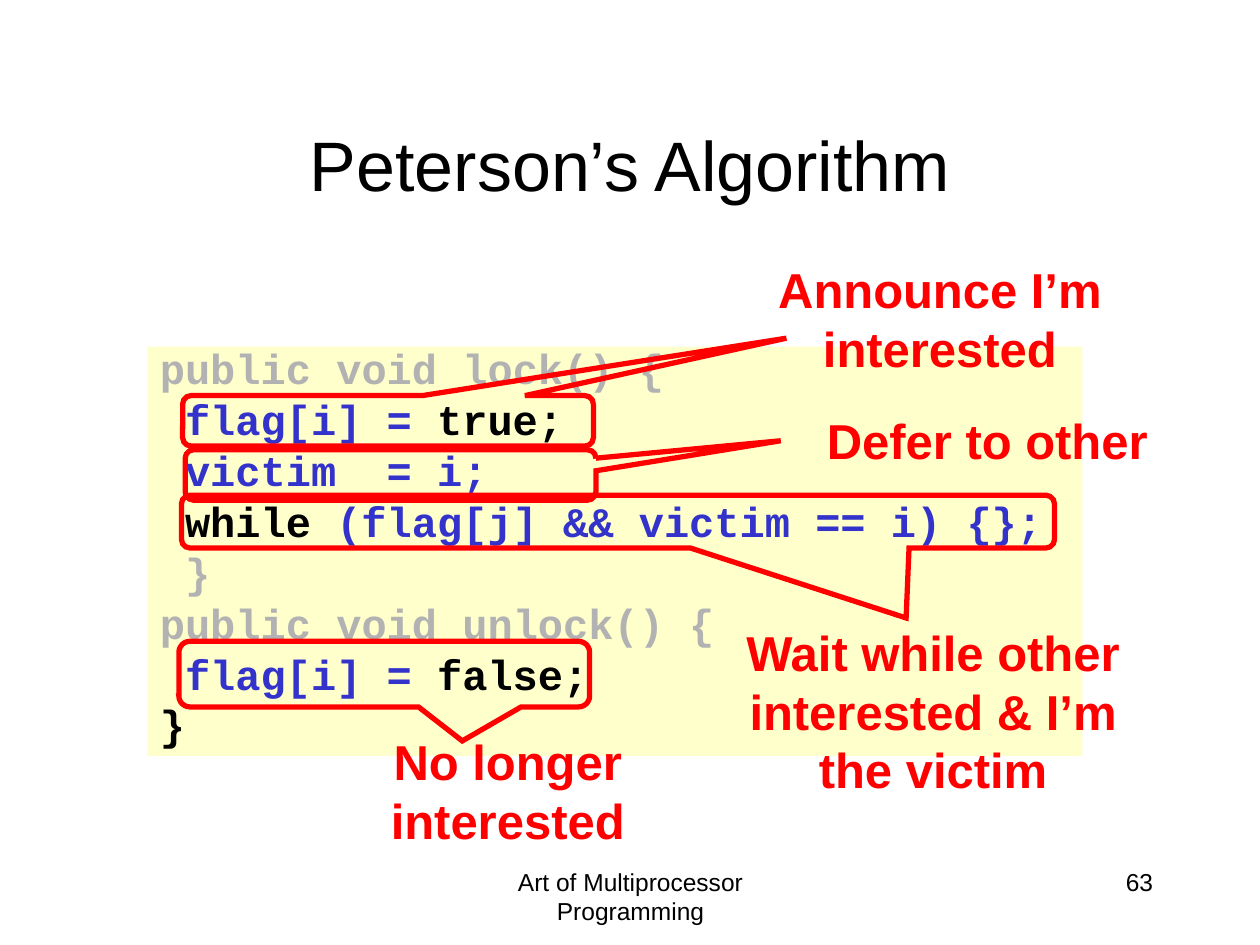
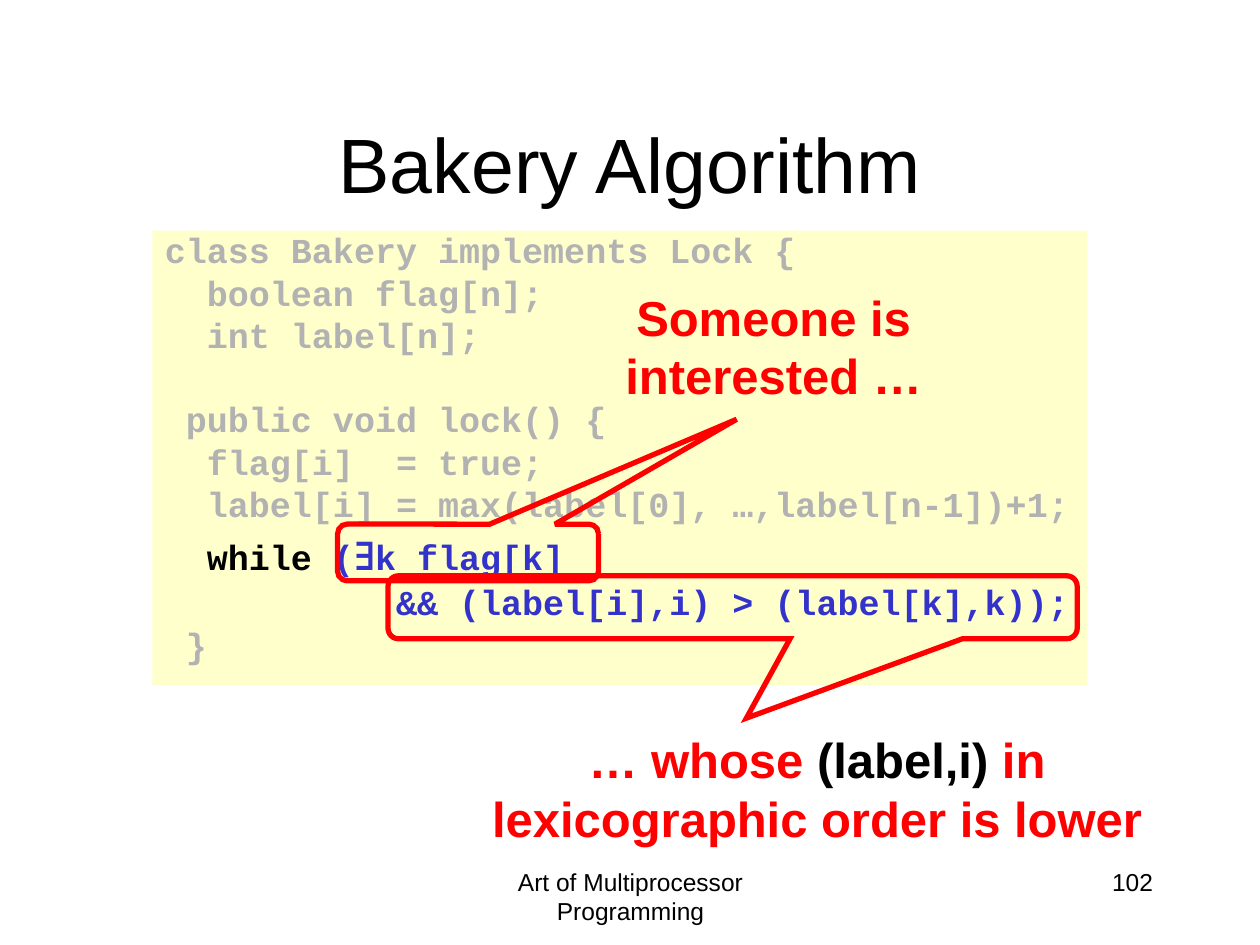
from lxml.etree import SubElement
from pptx import Presentation
from pptx.dml.color import RGBColor
from pptx.enum.shapes import MSO_SHAPE
from pptx.enum.text import MSO_ANCHOR, MSO_AUTO_SIZE, PP_ALIGN
from pptx.oxml.ns import qn
from pptx.util import Inches, Pt

# Shared look
BLACK, RED, GREY, BLUE, CREAM = "000000", "FF0000", "B2B2B2", "3333CC", "FFFFCC"
SANS, MONO = "Arial", "Courier New"
FOOTER = {"name": SANS, "size": Pt(14), "bold": False}
REMARK = {"name": SANS, "size": Pt(28), "bold": True}
FOOTER_TEXT = "Art of Multiprocessor Programming"
CODE_INDENT = 0.25

# Each code line is a list of (text, colour) spans
PETERSON_CODE = [
    [("public void lock() {", GREY)],
    [(" flag[i] =", BLUE), (" true;", BLACK)],
    [(" victim  = i;", BLUE)],
    [(" while ", BLACK), ("(flag[j] && victim == i) {};", BLUE)],
    [(" }", GREY)],
    [("public void unlock() {", GREY)],
    [(" flag[i] =", BLUE), (" false;", BLACK)],
    [("}", BLACK)],
]
BAKERY_CODE = [
    [("class Bakery implements Lock {", GREY)],
    [("  boolean flag[n];", GREY)],
    [("  int label[n];", GREY)],
    [(" public void lock() {", GREY)],
    [("  flag[i]  = true;", GREY)],
    [("  label[i] = max(label[0], …,label[n-1])+1;", GREY)],
    [("  while", BLACK), (" (", BLUE), ("∃", BLUE), ("k flag[k]", BLUE)],
    [("           && (label[i],i) > (label[k],k));", BLUE)],
    [(" }", GREY)],
]
LOCK_METHOD_LINE = 3


def colour(hex_text):
    return RGBColor.from_string(hex_text)


def set_format(target, values):
    for name, value in values.items():
        setattr(target, name, value)


def place(item, left, top, width, height):
    set_format(item, {"left": Inches(left), "top": Inches(top),
                      "width": Inches(width), "height": Inches(height)})


def add_span(para, text, hex_text, font_values):
    span = para.add_run()
    span.text = text
    set_format(span.font, font_values)
    span.font.color.rgb = colour(hex_text)
    return span


def add_text(page, position, spans, font_values, align=PP_ALIGN.CENTER, grow=False):
    box = page.shapes.add_textbox(*map(Inches, position))
    box.text_frame.word_wrap = True
    box.text_frame.auto_size = (MSO_AUTO_SIZE.SHAPE_TO_FIT_TEXT if grow
                                else MSO_AUTO_SIZE.NONE)
    para = box.text_frame.paragraphs[0]
    para.alignment = align
    for text, hex_text in spans:
        add_span(para, text, hex_text, font_values)


def add_remark(page, position, *spans):
    add_text(page, position, spans, REMARK, grow=True)


def add_page(deck, title, title_size, number):
    page = deck.slides.add_slide(deck.slide_layouts[5])
    heading = page.shapes.title
    place(heading, 0.75, 0.67, 8.5, 1.25)
    heading.text_frame.vertical_anchor = MSO_ANCHOR.MIDDLE
    para = heading.text_frame.paragraphs[0]
    para.alignment = PP_ALIGN.CENTER
    add_span(para, title, BLACK, {"name": SANS, "size": Pt(title_size)})

    add_text(page, (3.42, 6.83, 3.17, 0.5), [(FOOTER_TEXT, BLACK)], FOOTER)
    add_text(page, (7.17, 6.83, 2.08, 0.5), [(str(number), BLACK)], FOOTER,
             PP_ALIGN.RIGHT)
    return page


def add_code(page, position, lines, size, gap):
    panel = page.shapes.add_shape(MSO_SHAPE.RECTANGLE, *map(Inches, position))
    panel.shadow.inherit = False
    panel.fill.solid()
    panel.fill.fore_color.rgb = colour(CREAM)
    panel.line.fill.background()
    frame = panel.text_frame
    set_format(frame, {"word_wrap": True, "vertical_anchor": MSO_ANCHOR.TOP,
                       "margin_left": Inches(0.1), "margin_top": Inches(0.05)})
    code_font = {"name": MONO, "size": Pt(size), "bold": True}
    for index, spans in enumerate(lines):
        para = frame.add_paragraph() if index else frame.paragraphs[0]
        set_format(para, {"alignment": PP_ALIGN.LEFT, "line_spacing": 0.8})
        if index:
            para.space_before = Pt(gap)
        # Hanging indent
        properties = para._p.get_or_add_pPr()
        properties.set("marL", str(Inches(CODE_INDENT)))
        properties.set("indent", str(-Inches(CODE_INDENT)))
        for text, hex_text in spans:
            span = add_span(para, text, hex_text, code_font)
            if text == "∃":
                set_format(span.font, {"name": SANS, "size": Pt(28)})
    return panel


def add_callout(page, position, tip_x, tip_y):
    callout = page.shapes.add_shape(MSO_SHAPE.ROUNDED_RECTANGULAR_CALLOUT,
                                    *map(Inches, position))
    callout.shadow.inherit = False
    callout.fill.background()
    callout.line.color.rgb = colour(RED)
    callout.line.width = Pt(3)
    # Sharp corners at the tip
    outline = callout._element.spPr.find(qn("a:ln"))
    SubElement(outline, qn("a:miter")).set("lim", "800000")
    for index, value in enumerate((tip_x, tip_y, 0.167)):
        callout.adjustments[index] = value


def build_peterson(deck):
    page = add_page(deck, "Peterson’s Algorithm", 40, 63)
    add_code(page, (1.17, 2.75, 7.42, 3.25), PETERSON_CODE, 24, 6)
    add_callout(page, (1.45, 3.14, 3.26, 0.4), 0.97, -1.64)
    add_callout(page, (1.47, 3.57, 3.26, 0.4), 0.95, -0.68)
    add_callout(page, (1.42, 5.09, 3.26, 0.52), 0.19, 1.02)
    add_remark(page, (2.55, 5.76, 2.96, 1.04), ("No longer interested", RED))
    add_remark(page, (5.98, 2.01, 2.96, 1.04), ("Announce I’m interested", RED))
    add_remark(page, (6.14, 3.21, 3.39, 0.57), ("Defer to other", RED))
    add_remark(page, (5.53, 4.89, 3.75, 1.5),
               ("Wait while other interested & I’m the victim", RED))
    add_callout(page, (1.44, 3.93, 6.93, 0.42), 0.33, 1.82)


def build_bakery(deck):
    page = add_page(deck, "Bakery Algorithm", 44, 102)
    panel = add_code(page, (1.21, 1.83, 7.42, 3.61), BAKERY_CODE, 20, 5)
    # One line of room between the fields and the method
    panel.text_frame.paragraphs[LOCK_METHOD_LINE].space_before = Pt(29)
    add_callout(page, (2.68, 4.16, 2.07, 0.45), 1.03, -2.35)
    add_remark(page, (4.36, 2.23, 3.56, 1.04), ("Someone is interested …", RED))
    add_callout(page, (3.08, 4.57, 5.47, 0.5), 0.02, 1.76)
    add_remark(page, (3.68, 5.74, 5.61, 1.04), ("… whose ", RED),
               ("(label,i) ", BLACK), ("in lexicographic order is lower", RED))


def main():
    deck = Presentation()
    deck.slide_width, deck.slide_height = Inches(10), Inches(7.5)
    build_peterson(deck)
    build_bakery(deck)
    deck.save("out.pptx")


if __name__ == "__main__":
    main()
